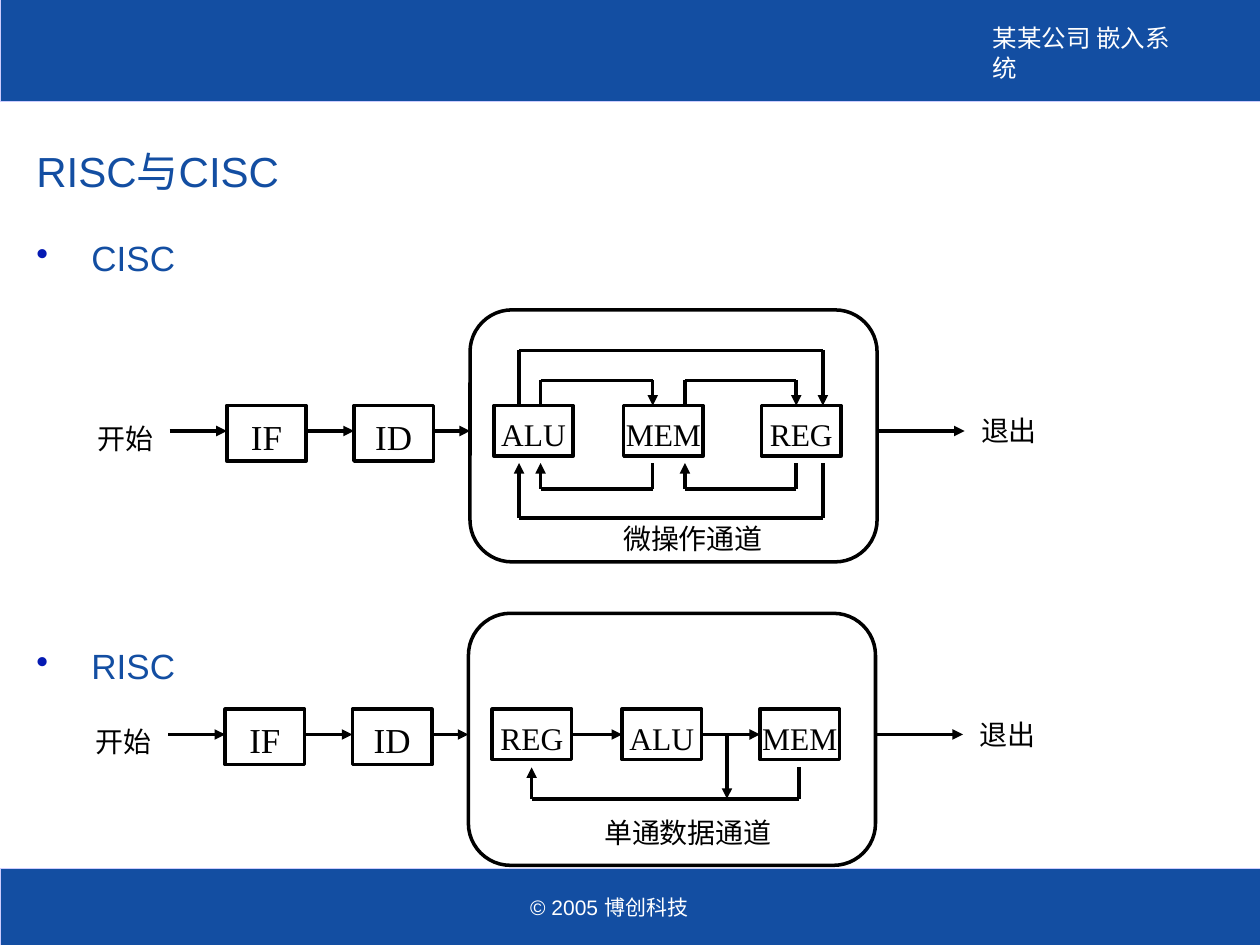
from itertools import pairwise
from lxml.etree import SubElement
from pptx import Presentation
from pptx.dml.color import RGBColor
from pptx.enum.shapes import MSO_CONNECTOR, MSO_SHAPE
from pptx.enum.text import MSO_ANCHOR, PP_ALIGN
from pptx.oxml.ns import qn
from pptx.util import Pt

BLUE, WHITE, BLACK = "134EA2", "FFFFFF", "000000"
SERIF = "Times New Roman"
CJK = "Noto Sans CJK SC"
STEP_W = 45.4


def color(code):
    return RGBColor.from_string(code)


def bullet(para, mark, code):
    props = para._p.get_or_add_pPr()
    props.set("marL", str(Pt(31.5)))
    props.set("indent", str(-Pt(31.5)))
    tint = SubElement(props, qn("a:buClr"))
    SubElement(tint, qn("a:srgbClr"), val=code)
    SubElement(props, qn("a:buChar"), char=mark)


def write(shape, text, size=16, font=SERIF, code=BLACK, align=PP_ALIGN.CENTER,
          anchor=MSO_ANCHOR.MIDDLE, side=7.2, top=3.6, wrap=True,
          mark=None, gap=0, lead=None):
    """Fill a shape with text, one paragraph a line, gap points apart."""
    frame = shape.text_frame
    frame.word_wrap = wrap
    frame.vertical_anchor = anchor
    frame.margin_left = frame.margin_right = Pt(side)
    frame.margin_top, frame.margin_bottom = Pt(top), Pt(3.6)
    for i, line in enumerate(text.split("\n")):
        para = frame.add_paragraph() if i else frame.paragraphs[0]
        para.alignment = align
        if i:
            para.space_before = Pt(gap)
        if lead:
            para.line_spacing = lead
        if mark:
            bullet(para, mark, "051AB3")
        run = para.add_run()
        run.text = line
        run.font.size = Pt(size)
        run.font.name = font
        run.font.color.rgb = color(code)
        SubElement(run._r.get_or_add_rPr(), qn("a:ea"), typeface=CJK)


def label(slide, text, x, y, w, h, **look):
    box = slide.shapes.add_textbox(Pt(x), Pt(y), Pt(w), Pt(h))
    write(box, text, **look)


def block(slide, x, y, w, h, kind=MSO_SHAPE.RECTANGLE, fill=None,
          line=BLACK, width=2):
    shape = slide.shapes.add_shape(kind, Pt(x), Pt(y), Pt(w), Pt(h))
    shape.shadow.inherit = False
    if fill:
        shape.fill.solid()
        shape.fill.fore_color.rgb = color(fill)
    else:
        shape.fill.background()
    shape.line.color.rgb = color(line)
    shape.line.width = Pt(width)
    return shape


def route(slide, *points):
    """Join the points with lines and end in an arrowhead."""
    for (x1, y1), (x2, y2) in pairwise(points):
        wire = slide.shapes.add_connector(
            MSO_CONNECTOR.STRAIGHT, Pt(x1), Pt(y1), Pt(x2), Pt(y2))
        wire.line.color.rgb = color(BLACK)
        wire.line.width = Pt(2)
        SubElement(wire._element.spPr, qn("a:effectLst"))
    SubElement(wire.line._get_or_add_ln(), qn("a:tailEnd"), type="triangle")


def step(slide, text, x, y, h, size):
    write(block(slide, x, y, STEP_W, h), text, size=size, side=0, top=5.5,
          anchor=MSO_ANCHOR.TOP)


def arrow(slide, x1, x2, y):
    route(slide, (x1, y), (x2, y))


def flow(slide, x, y, units):
    """Draw one pipeline whose IF box has its corner at x, y."""
    for text, dx in (("IF", 0), ("ID", 72.7)):
        step(slide, text, x + dx, y, 31.7, 20)
    for text, dx in zip(units, (152.6, 226.8, 305.6)):
        step(slide, text, x + dx, y, 28.8, 18)
    block(slide, x + 139, y - 54.7, 232.6, 144,
          MSO_SHAPE.FLOWCHART_ALTERNATE_PROCESS)
    label(slide, "开始", x - 83.5, y + 5.4, 51.1, 26.6)
    label(slide, "退出", x + 421.4, y + 1.1, 51.1, 26.6)
    for start, end in ((-32.6, 0), (STEP_W, 72.7), (118.1, 139),
                       (371.6, 421.6)):
        arrow(slide, x + start, x + end, y + 14.5)


def cisc(slide):
    x, y = 129.6, 231.8
    flow(slide, x, y, ("ALU", "MEM", "REG"))
    low = 264.6
    for left, right, rise, drop in ((296.6, 470.2, 200.2, 296),
                                    (308.9, 373, 217.4, 279.4),
                                    (391.4, 455, 217.4, 279.4)):
        route(slide, (left, y), (left, rise), (right, rise), (right, y))
        route(slide, (right, low), (right, drop), (left, drop), (left, low))
    label(slide, "微操作通道", 290.9, 294.5, 210.2, 26.6)


def risc(slide):
    x, y = 128.7, 405.2
    flow(slide, x, y, ("REG", "ALU", "MEM"))
    for start, end in ((198, 226.8), (272.2, 305.6)):
        arrow(slide, x + start, x + end, y + 14.5)
    low, drop = 438.5, 456.5
    route(slide, (456.5, low), (456.5, drop), (303.8, drop), (303.8, low))
    route(slide, (415.4, y + 14.5), (415.4, drop))
    label(slide, "单通数据通道", 288, 462.2, 210.2, 26.6)


def bands(slide):
    for y, h in ((496.1, 43.9), (-0.7, 58.3)):
        block(slide, 0, y, 720, h, fill=BLUE, line="CCCCFF", width=0.25)
    label(slide, "某某公司 嵌入系统", 560.2, 18, 129.6, 24.5, size=14,
          font=CJK, code=WHITE, align=PP_ALIGN.LEFT, wrap=False)
    label(slide, "© 2005 博创科技", 272.9, 507.6, 127.4, 21.6, size=12,
          font="Arial", code=WHITE, align=PP_ALIGN.RIGHT)


def main():
    deck = Presentation()
    deck.slide_width, deck.slide_height = Pt(720), Pt(540)
    slide = deck.slides.add_slide(deck.slide_layouts[6])
    bands(slide)
    look = dict(font="Arial", code=BLUE, align=PP_ALIGN.LEFT)
    label(slide, "RISC与CISC", 13.7, 68.4, 689, 61.9, size=24, lead=0.9,
          **look)
    label(slide, "CISC\nRISC", 13.7, 131.8, 689, 351.4, size=20, mark="•",
          gap=209, anchor=MSO_ANCHOR.TOP, **look)
    risc(slide)
    cisc(slide)
    deck.save("out.pptx")


if __name__ == "__main__":
    main()
